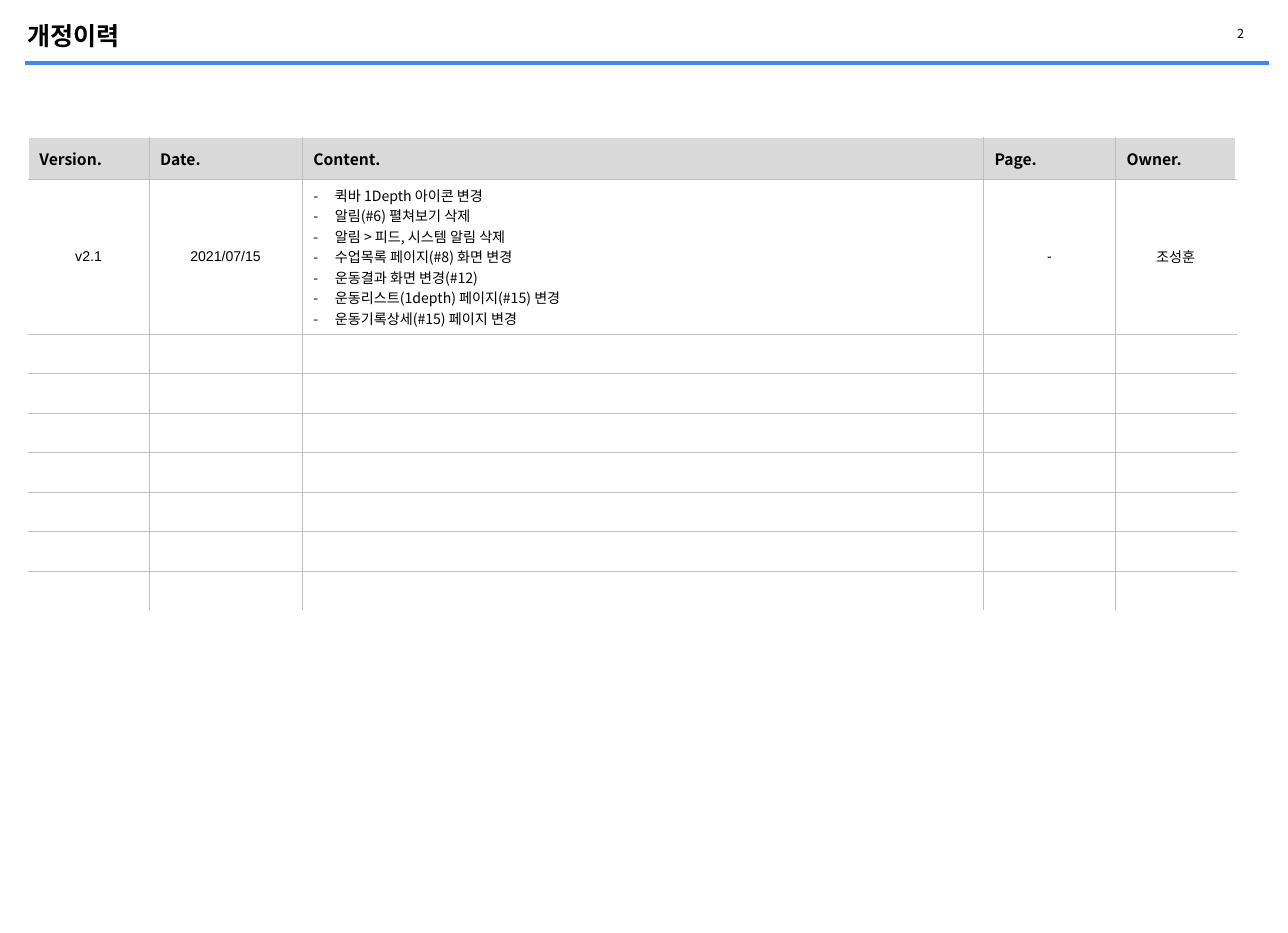
from dataclasses import dataclass

from lxml.etree import SubElement as Sub
from pptx import Presentation
from pptx.dml.color import RGBColor as Color
from pptx.enum.shapes import MSO_CONNECTOR as Link
from pptx.enum.text import MSO_ANCHOR as Anchor, MSO_AUTO_SIZE as Fit, PP_ALIGN as Align
from pptx.oxml.ns import qn
from pptx.util import Inches, Pt


@dataclass
class Theme:
    sans: str = "Noto Sans CJK KR"
    plain: str = "Arial"
    ink: str = "000000"
    blue: str = "4186F7"
    head: str = "D9D9D9"
    grid: str = "BFBFBF"
    white: str = "FFFFFF"
    title: int = 16
    label: int = 10
    body: int = 9
    small: int = 8


theme = Theme()


def write(frame, text, size=theme.body, font=theme.sans, bold=False,
          align=Align.LEFT, dash=False, pad=None):
    frame.word_wrap = True
    frame.vertical_anchor = Anchor.MIDDLE
    if pad:
        frame.margin_left, frame.margin_top, frame.margin_right, frame.margin_bottom = map(Inches, pad)
    for i, line in enumerate(text.split("\n")):
        para = frame.add_paragraph() if i else frame.paragraphs[0]
        para.alignment = align
        if dash:
            props = para._p.get_or_add_pPr()
            props.set("marL", str(Inches(0.19)))
            props.set("indent", str(-Inches(0.19)))
            Sub(props, qn("a:buFont"), typeface=theme.sans)
            Sub(props, qn("a:buChar"), char="-")
        if not line:
            Sub(para._p, qn("a:endParaRPr"), sz=str(size * 100))
            continue
        run = para.add_run()
        run.text = line
        run.font.size = Pt(size)
        run.font.bold = bold
        run.font.name = font
        run.font.color.rgb = Color.from_string(theme.ink)
        Sub(run._r.get_or_add_rPr(), qn("a:ea"), typeface=font)


def edge(cell, sides):
    props = cell._tc.get_or_add_tcPr()
    for i, (side, (tint, width)) in enumerate(sides.items()):
        line = Sub(props, qn("a:ln" + side), w=str(Pt(width)))
        Sub(Sub(line, qn("a:solidFill")), qn("a:srgbClr"), val=tint)
        props.insert(i, line)


deck = Presentation()
deck.slide_width = Inches(11.42)
deck.slide_height = Inches(8.27)
slide = deck.slides.add_slide(deck.slide_layouts[5])

rule = slide.shapes.add_connector(
    Link.STRAIGHT, Inches(0.22), Inches(0.56), Inches(11.25), Inches(0.56))
rule.line.color.rgb = Color.from_string(theme.blue)
rule.line.width = Pt(2.25)
Sub(rule._element.spPr, qn("a:effectLst"))

title = slide.shapes.title
title.left, title.top, title.width, title.height = map(Inches, (0.24, 0.15, 10.28, 0.33))
title.text_frame.auto_size = Fit.NONE
write(title.text_frame, "개정이력", size=theme.title, bold=True, pad=(0, 0.05, 0.1, 0.05))

page = slide.shapes.add_textbox(*map(Inches, (10.9, 0.2, 0.35, 0.19)))
write(page.text_frame, "2", size=theme.small, pad=(0.07, 0.04, 0.07, 0.04))

heads = ["Version.", "Date.", "Content.", "Page.", "Owner."]
notes = "\n".join([
    "퀵바 1Depth 아이콘 변경",
    "알림(#6) 펼쳐보기 삭제",
    "알림 > 피드, 시스템 알림 삭제",
    "수업목록 페이지(#8) 화면 변경",
    "운동결과 화면 변경(#12)",
    "운동리스트(1depth) 페이지(#15) 변경",
    "운동기록상세(#15) 페이지 변경",
])
rows = [heads, ["v2.1", "2021/07/15", notes, "-", "조성훈"]] + [[""] * 5] * 7
widths = [1.07, 1.36, 6.04, 1.17, 1.07]
heights = [0.37, 1.37] + [0.35] * 7

table = slide.shapes.add_table(
    len(rows), len(widths), Inches(0.25), Inches(1.22),
    Inches(sum(widths)), Inches(sum(heights))).table
table.horz_banding = False
for col, width in zip(table.columns, widths):
    col.width = Inches(width)
for row, height in zip(table.rows, heights):
    row.height = Inches(height)

thin, blank = (theme.grid, 0.25), (theme.white, 1)
for r, row in enumerate(rows):
    for c, text in enumerate(row):
        cell = table.cell(r, c)
        cell.vertical_anchor = Anchor.MIDDLE
        if r == 0:
            cell.fill.solid()
            cell.fill.fore_color.rgb = Color.from_string(theme.head)
            write(cell.text_frame, text, size=theme.label, bold=True)
        else:
            cell.fill.background()
            listed = text == notes
            write(cell.text_frame, text, dash=listed,
                  align=Align.LEFT if listed else Align.CENTER,
                  font=theme.plain if text.isascii() else theme.sans)
        edge(cell, {
            "L": thin if c else blank,
            "R": thin if c < len(widths) - 1 else blank,
            "T": thin if r else blank,
            "B": thin if r < len(rows) - 1 else blank,
        })

deck.save("out.pptx")
